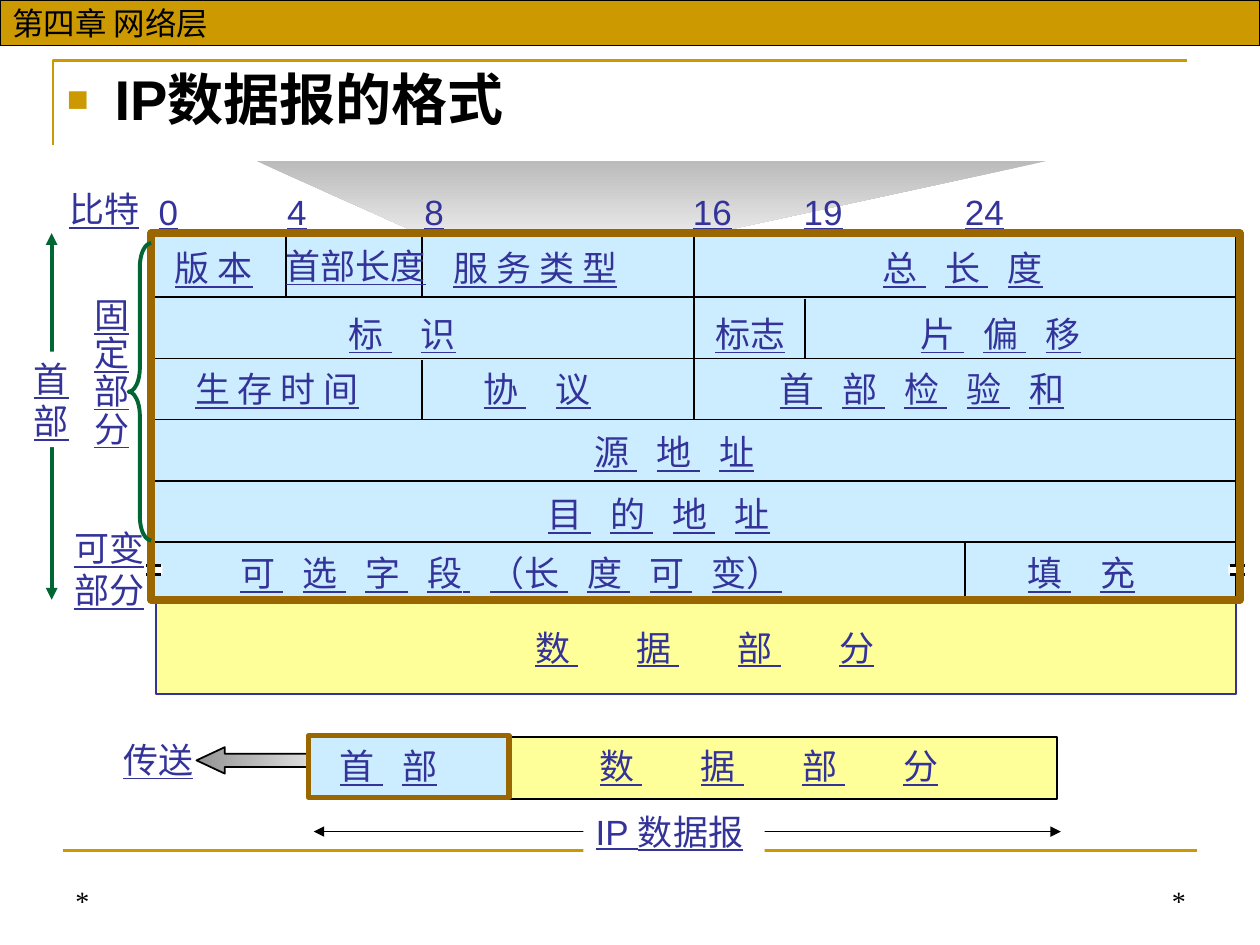
from dataclasses import dataclass
from itertools import groupby

from lxml.etree import SubElement
from pptx import Presentation
from pptx.dml.color import RGBColor
from pptx.enum.shapes import MSO_CONNECTOR, MSO_SHAPE as Shape
from pptx.enum.text import MSO_ANCHOR as Anchor, MSO_AUTO_SIZE as AutoSize, PP_ALIGN as Align
from pptx.oxml.ns import qn
from pptx.util import Inches, Pt

COLORS = {
    "gold": "CC9900", "black": "000000", "white": "FFFFFF", "ink": "333399",
    "blue": "CCECFF", "yellow": "FFFF99", "green": "006633", "brown": "996600",
    "gray_dark": "939393", "gray_light": "DDDDDD", "beam_top": "BBBBBB", "beam_end": "EAEAEA",
}
SPACE_WIDTH = 5.56  # points, one Arial space at 20 pt


@dataclass
class Label:
    text: str
    left: float
    top: float
    width: float
    height: float = 0.43
    gap: int = 1  # distance between characters, in space widths
    line_spacing: float = 1.0
    fill: str = ""


@dataclass
class Box:
    left: float
    top: float
    width: float
    height: float
    fill: str = ""
    line: str = ""
    weight: float = 1


@dataclass
class Rule:
    x1: float
    y1: float
    x2: float
    y2: float
    color: str = "black"
    weight: float = 1
    arrows: bool = False


def rgb(name: str) -> RGBColor:
    return RGBColor.from_string(COLORS[name])


def style(shape, fill: str = "", line: str = "", weight: float = 1) -> None:
    shape.shadow.inherit = False
    if fill:
        shape.fill.solid()
        shape.fill.fore_color.rgb = rgb(fill)
    else:
        shape.fill.background()
    if line:
        shape.line.color.rgb = rgb(line)
        shape.line.width = Pt(weight)
    else:
        shape.line.fill.background()


def shade(shape, start: str, end: str, angle: float) -> None:
    shape.fill.gradient()
    shape.fill.gradient_angle = angle
    for stop, name, position in zip(shape.fill.gradient_stops, (start, end), (0, 1)):
        stop.color.rgb = rgb(name)
        stop.position = position


def set_font(font, size: float, color: str, face: str = "Arial") -> None:
    font.name, font.size = face, Pt(size)
    font.color.rgb = rgb(color)


def draw_box(shapes, box: Box, preset=Shape.RECTANGLE):
    shape = shapes.add_shape(preset, *map(Inches, (box.left, box.top, box.width, box.height)))
    style(shape, box.fill, box.line, box.weight)
    return shape


def draw_rule(shapes, rule: Rule) -> None:
    line = shapes.add_connector(
        MSO_CONNECTOR.STRAIGHT, *map(Inches, (rule.x1, rule.y1, rule.x2, rule.y2)))
    line.line.color.rgb = rgb(rule.color)
    line.line.width = Pt(rule.weight)
    properties = line._element.spPr
    if rule.arrows:
        for end in ("a:headEnd", "a:tailEnd"):
            SubElement(properties.find(qn("a:ln")), qn(end), type="triangle")
    SubElement(properties, qn("a:effectLst"))


def draw_label(shapes, label: Label) -> None:
    """Underlined text; wide gaps are single spaces with extra character spacing."""
    shape = shapes.add_textbox(*map(Inches, (label.left, label.top, label.width, label.height)))
    if label.fill:
        shape.fill.solid()
        shape.fill.fore_color.rgb = rgb(label.fill)
    frame = shape.text_frame
    frame.word_wrap = False
    frame.auto_size = AutoSize.SHAPE_TO_FIT_TEXT
    for index, line in enumerate(label.text.split("\n")):
        paragraph = frame.add_paragraph() if index else frame.paragraphs[0]
        paragraph.line_spacing = label.line_spacing
        for is_space, characters in groupby(line, str.isspace):
            run = paragraph.add_run()
            run.text = "".join(characters)
            set_font(run.font, 20, "ink")
            run.font.underline = True
            if is_space and label.gap > 1:
                run._r.get_or_add_rPr().set("spc", str(round((label.gap - 1) * SPACE_WIDTH * 100)))


def draw_outline(shapes, points: list[tuple[float, float]], closed: bool):
    start, *rest = [(Inches(x), Inches(y)) for x, y in points]
    builder = shapes.build_freeform(*start, scale=1.0)
    builder.add_line_segments(rest, close=closed)
    return builder.convert_to_shape()


def draw_theme(slide) -> None:
    shapes = slide.shapes
    corner = draw_outline(shapes, [(0.42, 1.15), (0.42, 0.48), (9.42, 0.48)], False)
    style(corner, line="gold", weight=1.5)
    draw_rule(shapes, Rule(0.5, 6.75, 9.5, 6.75, "gold", 1.5))
    chapter = draw_box(shapes, Box(0, 0, 10, 0.36, "gold", "black", 0.75)).text_frame
    chapter.text = "第四章 网络层"
    chapter.vertical_anchor = Anchor.MIDDLE
    chapter.paragraphs[0].alignment = Align.LEFT
    set_font(chapter.paragraphs[0].runs[0].font, 18, "black")
    for left, width, alignment in ((0.5, 2.33, Align.LEFT), (6.34, 3.17, Align.RIGHT)):
        footer = shapes.add_textbox(*map(Inches, (left, 6.83, width, 0.5))).text_frame
        footer.word_wrap = True
        footer.vertical_anchor = Anchor.BOTTOM
        footer.text = "*"
        footer.paragraphs[0].alignment = alignment
        set_font(footer.paragraphs[0].runs[0].font, 16, "black", "Times New Roman")


def draw_heading(slide) -> None:
    title, body = slide.placeholders
    title._element.getparent().remove(title._element)
    body.left, body.top, body.width, body.height = map(Inches, (0.43, 0.52, 9, 0.63))
    frame = body.text_frame
    frame.auto_size = AutoSize.NONE
    frame.text = "IP数据报的格式"
    paragraph = frame.paragraphs[0]
    paragraph.line_spacing = 0.9
    paragraph.space_before = Pt(0)
    properties = paragraph._p.get_or_add_pPr()
    properties.set("marL", str(Inches(0.38)))
    properties.set("indent", str(-Inches(0.38)))
    bullet_color = SubElement(properties, qn("a:buClr"))
    SubElement(bullet_color, qn("a:srgbClr"), val=COLORS["gold"])
    SubElement(properties, qn("a:buSzPct"), val="65000")
    SubElement(properties, qn("a:buFont"), typeface="Arial")
    SubElement(properties, qn("a:buChar"), char="■")
    set_font(paragraph.runs[0].font, 32, "black")
    paragraph.runs[0].font.bold = True


ROW_RULES = [Rule(1.21, 2.36 + 0.485 * i, 9.83, 2.36 + 0.485 * i) for i in range(5)]
COLUMN_RULES = [Rule(x, top, x, bottom) for x, top, bottom in (
    (2.27, 1.88, 2.36), (3.35, 1.88, 2.36), (3.35, 2.86, 3.33),
    (5.51, 1.88, 3.33), (7.66, 4.3, 4.78), (6.39, 2.37, 2.85))]
BIT_LABELS = [Label(bit, left, 1.46, 0.35 if len(bit) == 1 else 0.51) for bit, left in (
    ("0", 1.16), ("4", 2.18), ("8", 3.27), ("16", 5.4), ("19", 6.28), ("24", 7.56))]
FIELD_LABELS = [
    Label("版 本", 1.29, 1.91, 0.89),
    Label("首部长度", 2.17, 1.89, 1.31),
    Label("服 务 类 型", 3.5, 1.91, 1.73),
    Label("总 长 度", 6.91, 1.91, 1.87, gap=3),
    Label("标 识", 2.67, 2.43, 1.31, gap=4),
    Label("标志", 5.58, 2.43, 0.76),
    Label("片 偏 移", 7.21, 2.43, 1.87, gap=3),
    Label("生 存 时 间", 1.45, 2.87, 1.73),
    Label("协 议", 3.74, 2.87, 1.31, gap=4),
    Label("首 部 检 验 和", 6.09, 2.87, 3.26, gap=3),
    Label("源 地 址", 4.62, 3.37, 1.87, gap=3),
    Label("目 的 地 址", 4.25, 3.86, 2.56, gap=3),
    Label("可 选 字 段 （长 度 可 变）", 1.81, 4.33, 5.76, gap=3),
    Label("填 充", 8.06, 4.33, 1.31, gap=4),
    Label("数 据 部 分", 4.15, 4.92, 3.18, gap=7),
]
SIDE_LABELS = [
    Label("比特", 0.45, 1.44, 0.76),
    Label("固\n定\n部\n分", 0.65, 2.32, 0.48, 1.3, line_spacing=0.9),
    Label("可变\n部分", 0.49, 4.13, 0.76, 0.76),
    Label("首\n部", 0.17, 2.79, 0.48, 0.76, fill="white"),
]
PACKET_LABELS = [
    Label("数 据 部 分", 4.66, 5.86, 3.39, gap=7),
    Label("首 部", 2.6, 5.86, 1.17, gap=3),
    Label("传送", 0.88, 5.81, 0.76),
    Label("IP 数据报", 4.63, 6.38, 1.44, fill="white"),
]


def draw_header_format(shapes) -> None:
    beam = draw_outline(shapes, [(2.04, 1.28), (8.3, 1.28), (5.52, 1.88), (3.34, 1.86)], True)
    style(beam)
    shade(beam, "beam_top", "beam_end", 270)
    draw_box(shapes, Box(1.22, 1.87, 8.6, 2.89, "blue", "black", 2))
    draw_box(shapes, Box(1.24, 4.77, 8.57, 0.74, "yellow", "ink"))
    for rule in ROW_RULES + COLUMN_RULES + [Rule(0.41, 1.85, 0.41, 4.76, "green", 2.25, True)]:
        draw_rule(shapes, rule)
    for left in (1.15, 9.75):  # break marks on both edges of the optional row
        draw_box(shapes, Box(left, 4.49, 0.14, 0.07, "white"))
        for y in (4.49, 4.56):
            draw_rule(shapes, Rule(left + 0.01, y, left + 0.13, y, weight=2))
    for label in BIT_LABELS + FIELD_LABELS + SIDE_LABELS:
        draw_label(shapes, label)
    draw_box(shapes, Box(1.2, 1.85, 8.64, 2.91, line="brown", weight=4.5))
    brace = draw_box(shapes, Box(1.02, 1.93, 0.18, 2.36, line="green", weight=2.25), Shape.LEFT_BRACE)
    brace.adjustments[0] = 1.05


def draw_packet(shapes) -> None:
    draw_rule(shapes, Rule(2.49, 6.6, 8.42, 6.6, arrows=True))
    arrow = draw_box(shapes, Box(1.56, 5.93, 0.9, 0.21, line="black"), Shape.LEFT_ARROW)
    arrow.adjustments[1] = 1.07
    shade(arrow, "gray_dark", "gray_light", 0)
    draw_box(shapes, Box(4.03, 5.85, 4.36, 0.49, "yellow", "black"))
    draw_box(shapes, Box(2.45, 5.84, 1.59, 0.49, "blue", "brown", 3))
    for label in PACKET_LABELS:
        draw_label(shapes, label)


def main() -> None:
    deck = Presentation()
    deck.slide_width, deck.slide_height = Inches(10), Inches(7.5)
    slide = deck.slides.add_slide(deck.slide_layouts[1])
    draw_theme(slide)
    draw_heading(slide)
    draw_header_format(slide.shapes)
    draw_packet(slide.shapes)
    deck.save("out.pptx")


if __name__ == "__main__":
    main()
